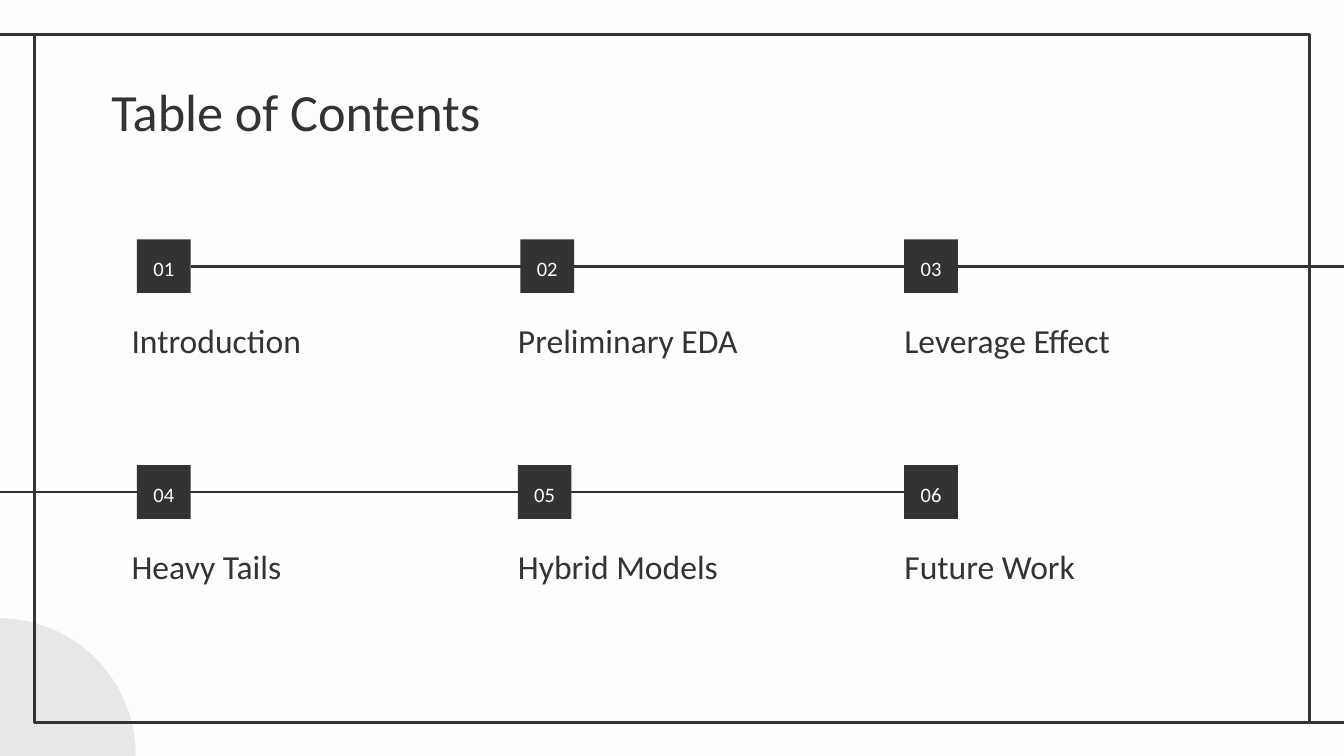
from pptx import Presentation
from pptx.dml.color import RGBColor
from pptx.enum.shapes import MSO_CONNECTOR as Link, MSO_SHAPE as Kind
from pptx.enum.text import MSO_ANCHOR as Anchor, PP_ALIGN as Align
from pptx.oxml.ns import qn
from pptx.util import Pt
from lxml import etree

INK = RGBColor(0x33, 0x33, 0x33)
PAPER = RGBColor(0xFD, 0xFD, 0xFD)
GREY = RGBColor(0xE8, 0xE7, 0xE7)

SIDE = 28.8
ROW_GAP = 121
COL_GAP = 207
MARK_TOP = 128.2
TEXT_TOP = 169.9
TEXT_LEFT = 63.4

ROWS = [
    [("01", "Introduction", 73.4), ("02", "Preliminary EDA", 278.8), ("03", "Leverage Effect", 484.4)],
    [("04", "Heavy Tails", 73.4), ("05", "Hybrid Models", 277.4), ("06", "Future Work", 484.4)],
]


def add_line(x1, y1, x2, y2):
    line = shapes.add_connector(Link.STRAIGHT, Pt(x1), Pt(y1), Pt(x2), Pt(y2))
    line.line.color.rgb = INK
    line.line.width = Pt(1.5)
    etree.SubElement(line._element.spPr, qn("a:effectLst"))
    return line


def set_text(shape, text, size, color, anchor, align=Align.LEFT, space=1.15):
    frame = shape.text_frame
    frame.text = text
    frame.word_wrap = True
    frame.vertical_anchor = anchor
    frame.margin_left = frame.margin_right = Pt(7.2)
    frame.margin_top = frame.margin_bottom = Pt(7.2)
    para = frame.paragraphs[0]
    para.alignment = align
    para.line_spacing = space
    font = para.runs[0].font
    font.name = "Calibri"
    font.size = Pt(size)
    font.color.rgb = color


deck = Presentation()
deck.slide_width, deck.slide_height = Pt(720), Pt(405)
slide = deck.slides.add_slide(deck.slide_layouts[6])
slide.background.fill.solid()
slide.background.fill.fore_color.rgb = PAPER
shapes = slide.shapes

# Corner disc and frame
disc = shapes.add_shape(Kind.OVAL, Pt(-74.2), Pt(331.2), Pt(146.9), Pt(146.9))
disc.shadow.inherit = False
disc.fill.solid()
disc.fill.fore_color.rgb = GREY
disc.line.fill.background()

frame = shapes.add_shape(Kind.RECTANGLE, Pt(18.3), Pt(18.3), Pt(683.3), Pt(368.6))
frame.shadow.inherit = False
frame.fill.background()
frame.line.color.rgb = INK
frame.line.width = Pt(1.5)
add_line(18.7, 18.3, -1.4, 18.3)
add_line(722.2, 386.9, 702, 386.9)

# Row lines lie behind the marks
mid = MARK_TOP + SIDE / 2
low = add_line(484.4, mid + ROW_GAP, -12.2, mid + ROW_GAP)
top = add_line(102.2, mid, 733, mid)

title = shapes.add_textbox(Pt(52.6), Pt(35.2), Pt(607), Pt(45.4))
set_text(title, "Table of Contents", 28, INK, Anchor.TOP, space=1)

# Numbered topics
marks = {}
for row, topics in enumerate(ROWS):
    for col, (num, name, left) in enumerate(topics):
        mark = shapes.add_shape(Kind.RECTANGLE, Pt(left), Pt(MARK_TOP + row * ROW_GAP), Pt(SIDE), Pt(SIDE))
        mark.shadow.inherit = False
        mark.fill.solid()
        mark.fill.fore_color.rgb = INK
        mark.line.fill.background()
        set_text(mark, num, 11, PAPER, Anchor.MIDDLE, Align.CENTER)
        marks[num] = mark

        label = shapes.add_textbox(Pt(TEXT_LEFT + col * COL_GAP), Pt(TEXT_TOP + row * ROW_GAP), Pt(181.4), Pt(30.2))
        set_text(label, name, 18, INK, Anchor.BOTTOM)

top.begin_connect(marks["01"], 3)
low.begin_connect(marks["06"], 1)

deck.save("out.pptx")
